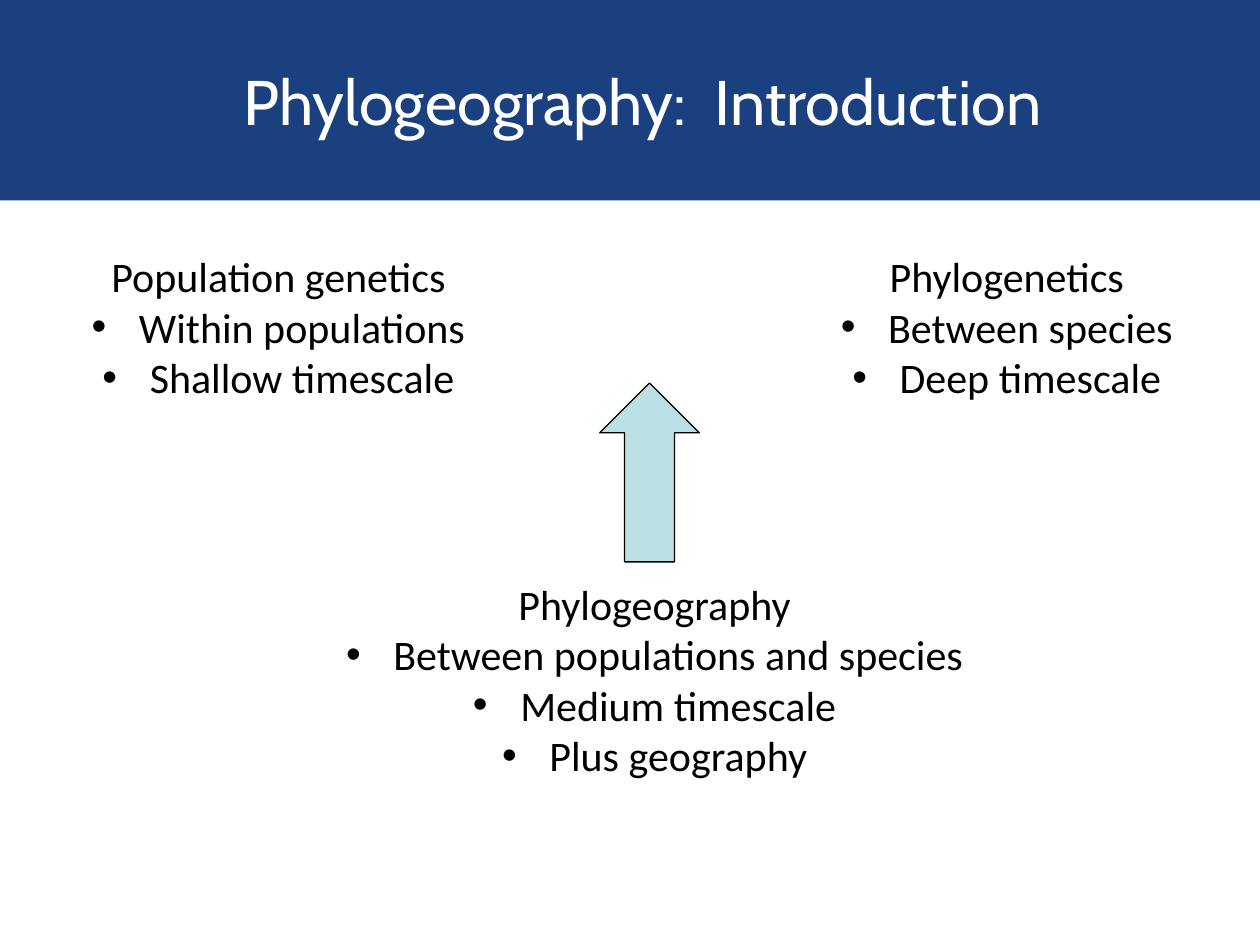
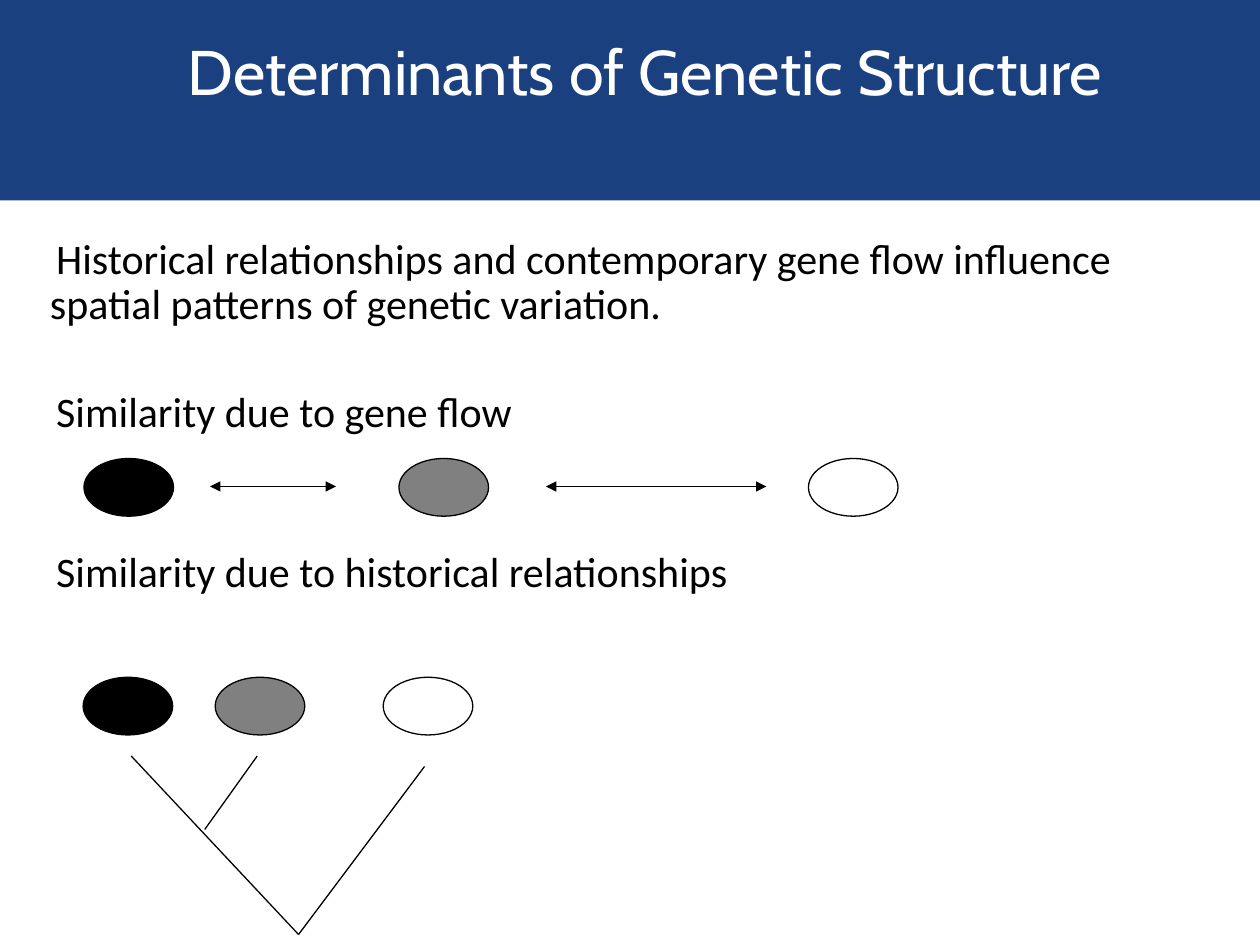
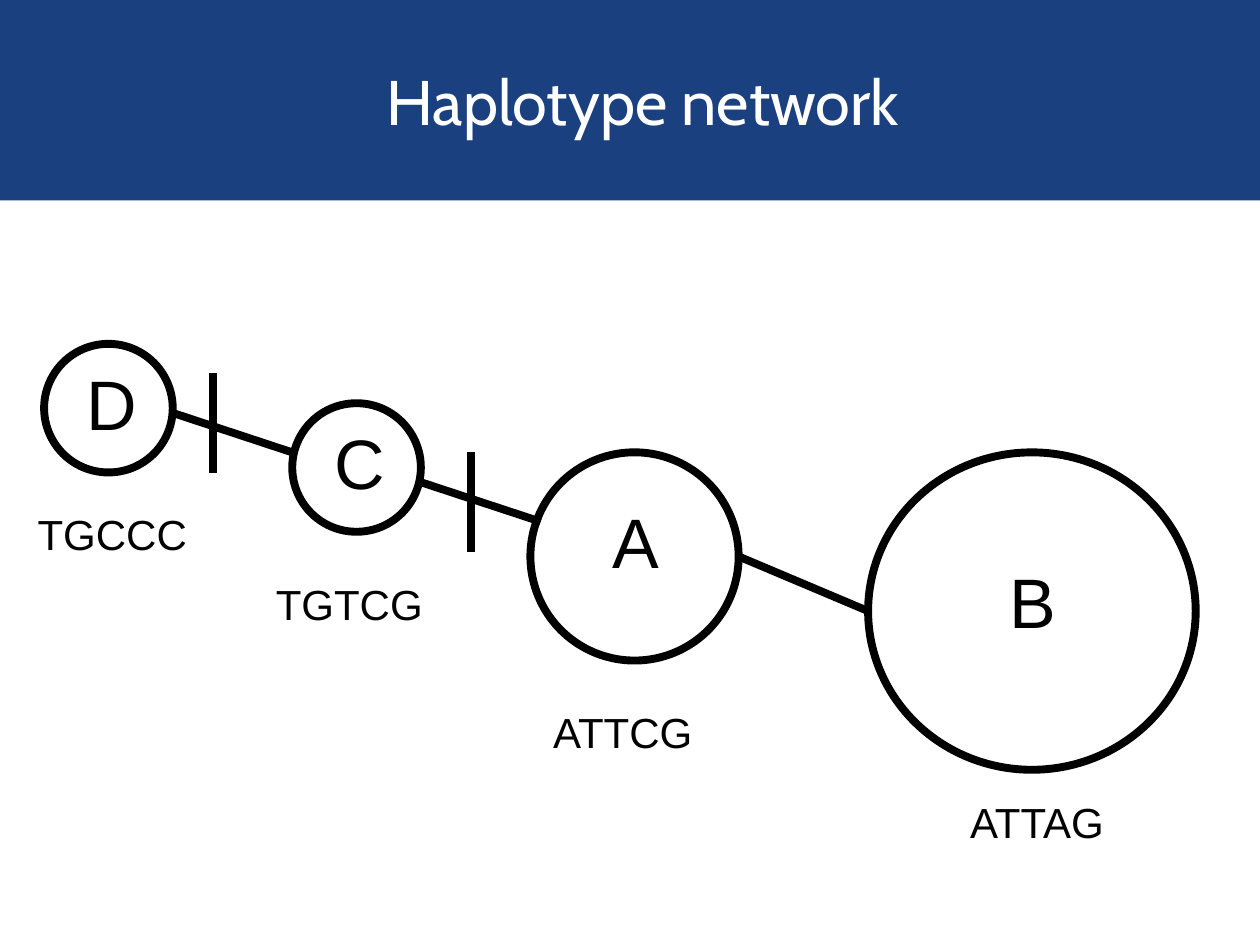
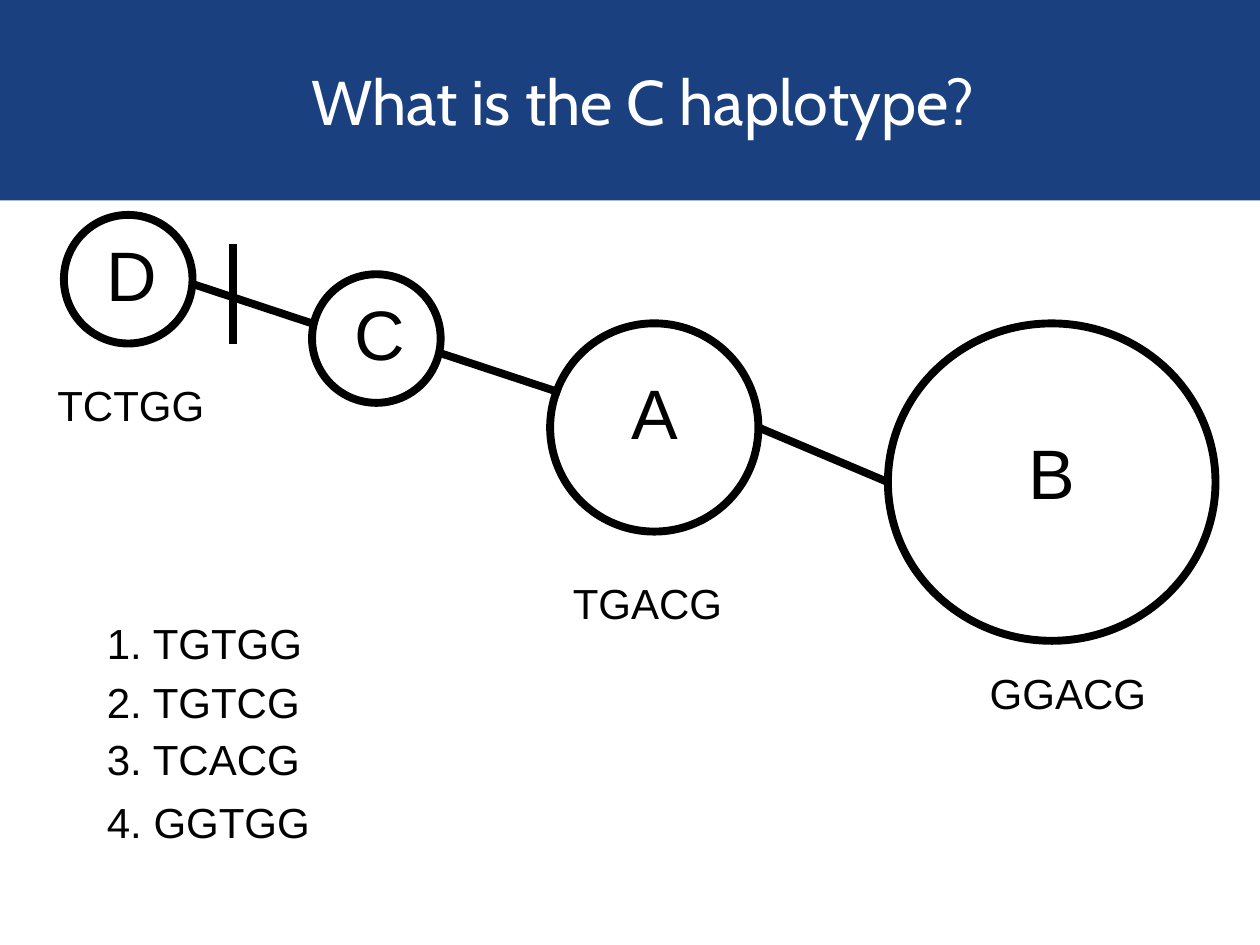
from pptx import Presentation
from pptx.dml.color import RGBColor
from pptx.enum.shapes import MSO_CONNECTOR as Conn, MSO_SHAPE as Kind
from pptx.enum.text import MSO_AUTO_SIZE as Fit, PP_ALIGN as Align
from pptx.oxml.ns import qn
from pptx.util import Pt
from lxml.etree import SubElement

HUES = {"navy": "1B4080", "white": "FFFFFF", "black": "000000",
        "gray": "808080", "aqua": "BBE0E3"}
WIDE, HIGH = 720, 540
BAND = (0, 0, WIDE, 114.5)
TITLE = (98, 32.4, 538.5, 50.4)

# Slide 1: left, top, width, height, then heading and bullets
FIELDS = [
    ((14.4, 139.7, 289.4, 94.3),
     ["Population genetics", "Within populations", "Shallow timescale"]),
    ((430.6, 139.7, 289.4, 94.3),
     ["Phylogenetics", "Between species", "Deep timescale"]),
    ((172.8, 326.9, 402.5, 123.8),
     ["Phylogeography", "Between populations and species",
      "Medium timescale", "Plus geography"]),
]
ARROW = (342.7, 218.9, 56.9, 102.2)

# Slide 2
CAUSES = [
    "Historical relationships and contemporary gene flow influence "
    "spatial patterns of genetic variation.",
    "Similarity due to gene flow",
    "Similarity due to historical relationships",
]
GAPS = [0, 35.5, 66]
SHADES = ["black", "gray", "white"]
ROWS = [(262, [48, 228, 462]), (387, [47.5, 123, 219])]
OVAL = (51.2, 33)
FLOWS = [(120, 278, 192, 278), (312, 278, 438, 278)]
TREE = [(75, 432, 170.6, 534), (170.6, 534, 242.6, 438),
        (117, 474, 147, 432)]

# Slides 3 and 4: circle, letter spot, tag spot
NODES = {
    "A": ((303.1, 258.5, 119, 119), (342.7, 281.5), (309, 400.3)),
    "B": ((496.1, 258.5, 187.2, 181.4), (569.5, 315.4), (547.2, 451.4)),
    "C": ((167, 230.4, 73.5, 73.5), (184.3, 236.2), (150.5, 326.9)),
    "D": ((25.2, 196.5, 73.5, 73.5), (42.5, 202.3), (14.4, 287.2)),
}
LINKS = [(308.9, 298.1, 241.2, 275.8), (167, 258.5, 99.4, 236.2),
         (496.1, 349.2, 422.6, 318.2)]
STEPS = {"DC": (121.7, 270, 121.7, 213.1), "CA": (269.3, 315.4, 269.3, 258.5)}
KNOWN = {"A": "ATTCG", "B": "ATTAG", "C": "TGTCG", "D": "TGCCC"}
QUIZ = {"A": "TGACG", "B": "GGACG", "D": "TCTGG"}
SHIFT = (11.3, -73.7)
CHOICES = [(349.2, "1. TGTGG"), (383, "2. TGTCG"),
           (415.4, "3. TCACG"), (451.4, "4. GGTGG")]


def hue(name):
    return RGBColor.from_string(HUES[name])


def pts(nums):
    return [Pt(n) for n in nums]


def move(nums, by):
    """Shift a run of x, y pairs."""
    return [n + by[i % 2] for i, n in enumerate(nums)]


def shape(slide, kind, box, fill, line=None):
    item = slide.shapes.add_shape(kind, *pts(box))
    item.shadow.inherit = False
    item.fill.solid()
    item.fill.fore_color.rgb = hue(fill)
    if line:
        item.line.color.rgb = hue("black")
        item.line.width = Pt(line)
    else:
        item.line.fill.background()
    return item


def rule(slide, ends, width=0.75, heads=False):
    item = slide.shapes.add_connector(Conn.STRAIGHT, *pts(ends))
    item.line.color.rgb = hue("black")
    item.line.width = Pt(width)
    if heads:
        for end in ("a:headEnd", "a:tailEnd"):
            SubElement(item.line._ln, qn(end), type="triangle")
    SubElement(item._element.spPr, qn("a:effectLst"))


def text(slide, box, lines, size=24, font="Calibri", color="black",
         align=Align.LEFT, bullets=False, gaps=None, inset=(7.2, 3.6),
         hang=None, pitch=None, fit=Fit.SHAPE_TO_FIT_TEXT):
    """Write one paragraph per line; bullets mark all but the first."""
    frame = slide.shapes.add_textbox(*pts(box)).text_frame
    frame.word_wrap = True
    frame.auto_size = fit
    frame.margin_left = frame.margin_right = Pt(inset[0])
    frame.margin_top = frame.margin_bottom = Pt(inset[1])
    for i, line in enumerate(lines):
        para = frame.add_paragraph() if i else frame.paragraphs[0]
        para.alignment = align
        if pitch:
            para.line_spacing = pitch
        if gaps and gaps[i]:
            para.space_before = Pt(gaps[i])
        props = para._p.get_or_add_pPr()
        dent = (27, -27) if bullets and i else hang
        if dent:
            props.set("marL", str(Pt(dent[0])))
            props.set("indent", str(Pt(dent[1])))
        if bullets and i:
            SubElement(props, qn("a:buFont"), typeface="Arial")
            SubElement(props, qn("a:buChar"), char="•")
        run = para.add_run()
        run.text = line
        run.font.size = Pt(size)
        run.font.name = font
        run.font.color.rgb = hue(color)


def start(deck, title, box=TITLE):
    slide = deck.slides.add_slide(deck.slide_layouts[6])
    shape(slide, Kind.RECTANGLE, BAND, "navy")
    text(slide, box, [title], size=36, font="Cabin", color="white",
         align=Align.CENTER)
    return slide


def fields(deck):
    slide = start(deck, "Phylogeography:  Introduction")
    for box, lines in FIELDS:
        text(slide, box, lines, align=Align.CENTER, bullets=True)
    arrow = shape(slide, Kind.UP_ARROW, ARROW, "aqua", 0.75)
    arrow.adjustments[0] = arrow.adjustments[1] = 0.5


def causes(deck):
    slide = start(deck, "Determinants of Genetic Structure",
                  (99.4, 15.1, 538.5, 50.4))
    text(slide, (24, 136, 672, 356), CAUSES, gaps=GAPS, inset=(0, 0),
         hang=(4.5, 3.6), pitch=0.9, fit=Fit.NONE)
    for ends in TREE:
        rule(slide, ends)
    for ends in FLOWS:
        rule(slide, ends, heads=True)
    for top, lefts in ROWS:
        for left, shade in zip(lefts, SHADES):
            shape(slide, Kind.OVAL, (left, top, *OVAL), shade, 0.75)


def network(slide, tags, steps, by=(0, 0), room=102.2):
    """Draw the haplotype circles, links, mutation ticks and tags."""
    for ring, _, _ in NODES.values():
        spot = move(ring[:2], by)
        shape(slide, Kind.OVAL, (*spot, *ring[2:]), "white", 4.5)
    for ends in LINKS + [STEPS[key] for key in steps]:
        rule(slide, move(ends, by), 4.5)
    for name, (_, spot, low) in NODES.items():
        text(slide, (*move(spot, by), 85, 55.4), [name],
             size=40, font="Arial")
        if name in tags:
            text(slide, (*move(low, by), room, 36.5), [tags[name]],
                 font="Arial")


def main():
    deck = Presentation()
    deck.slide_width, deck.slide_height = pts((WIDE, HIGH))
    fields(deck)
    causes(deck)
    network(start(deck, "Haplotype network"), KNOWN, ["CA", "DC"])
    quiz = start(deck, "What is the C haplotype?")
    network(quiz, QUIZ, ["DC"], SHIFT, room=124.6)
    for top, line in CHOICES:
        text(quiz, (54, top, 215.3, 36.5), [line], font="Arial")
    deck.save("out.pptx")


if __name__ == "__main__":
    main()
